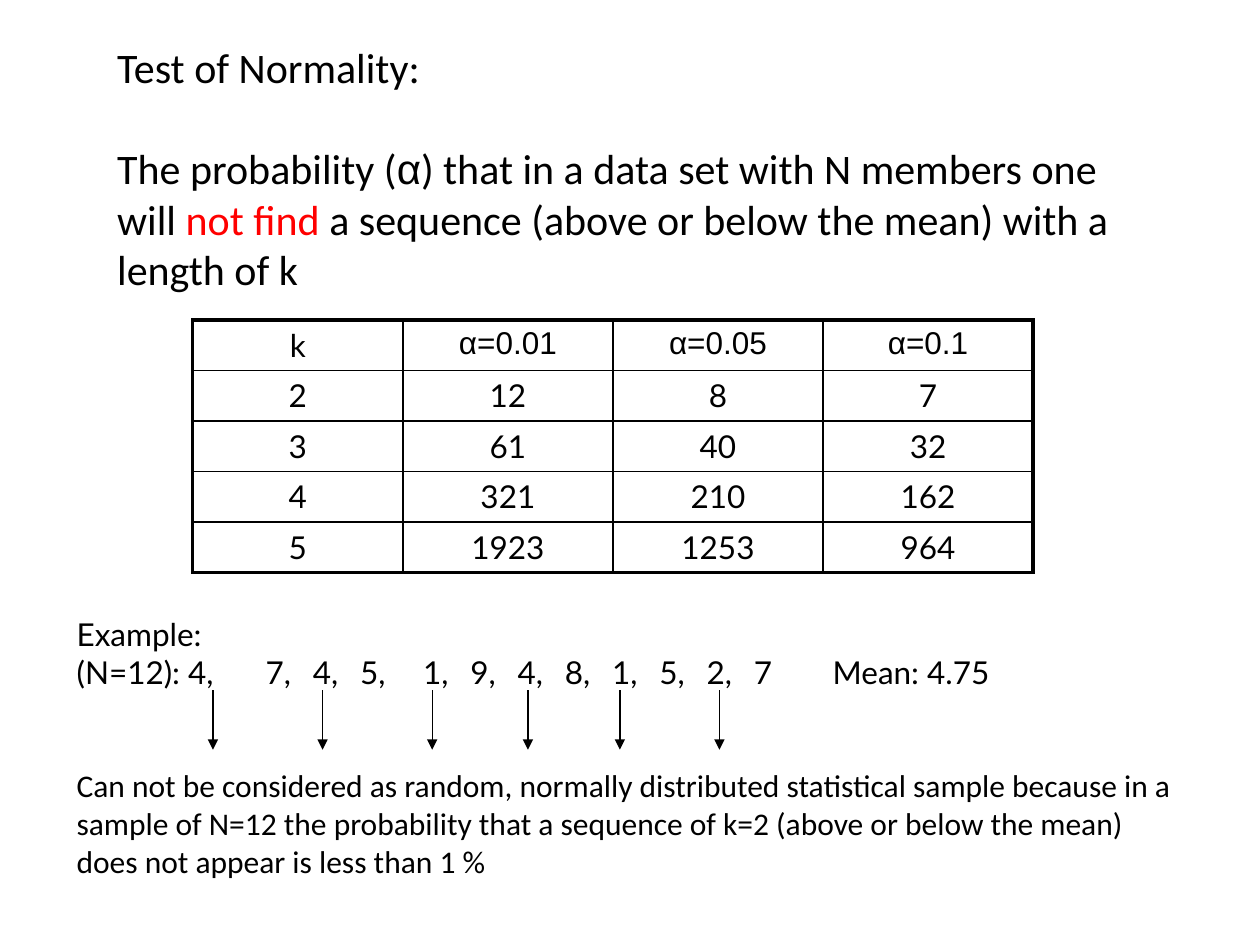
from lxml.etree import SubElement
from pptx import Presentation
from pptx.dml.color import RGBColor
from pptx.enum.shapes import MSO_CONNECTOR
from pptx.enum.text import MSO_ANCHOR, MSO_AUTO_SIZE, PP_ALIGN
from pptx.oxml.ns import qn
from pptx.util import Inches, Pt

COLORS = {"text": "000000", "accent": "FF0000", "line": "000000"}

FRAME_FORMAT = {
    "word_wrap": True,
    "auto_size": MSO_AUTO_SIZE.SHAPE_TO_FIT_TEXT,
    "vertical_anchor": MSO_ANCHOR.TOP,
    "margin_left": Inches(0.1),
    "margin_right": Inches(0.1),
    "margin_top": Inches(0.05),
    "margin_bottom": Inches(0.05),
}
PARAGRAPH_FORMAT = {
    "alignment": PP_ALIGN.LEFT,
    "line_spacing": 1.0,
    "space_before": Pt(0),
}

PROBABILITY_ROWS = [
    ["k", "α=0.01", "α=0.05", "α=0.1"],
    ["2", "12", "8", "7"],
    ["3", "61", "40", "32"],
    ["4", "321", "210", "162"],
    ["5", "1923", "1253", "964"],
]
SAMPLE = [4, 7, 4, 5, 1, 9, 4, 8, 1, 5, 2, 7]
TAB_STEP = 0.375
TAB_STOPS = (
    [1.5 + TAB_STEP * i for i in range(3)]
    + [2.75 + TAB_STEP * i for i in range(9)]
    + [6]
)
ARROW_OFFSETS = [0, 0.87, 1.74, 2.5, 3.23, 4.02]


def apply_format(target, values):
    for name, value in values.items():
        setattr(target, name, value)


def place(shape, box):
    names = ("left", "top", "width", "height")
    apply_format(shape, dict(zip(names, map(Inches, box))))


def add_run(paragraph, text, font_name, size=18, color="text"):
    run = paragraph.add_run()
    run.text = text
    apply_format(run.font, {"name": font_name, "size": Pt(size), "bold": False})
    run.font.color.rgb = RGBColor.from_string(COLORS[color])


def add_paragraph(frame, is_first=False, **changes):
    paragraph = frame.paragraphs[0] if is_first else frame.add_paragraph()
    apply_format(paragraph, PARAGRAPH_FORMAT | changes)
    return paragraph


def add_text_box(slide, box):
    shape = slide.shapes.add_textbox(*map(Inches, box))
    apply_format(shape.text_frame, FRAME_FORMAT)
    return shape.text_frame


def fill_title(slide, box):
    title = slide.shapes.title
    place(title, box)
    frame = title.text_frame
    apply_format(frame, FRAME_FORMAT)
    add_run(add_paragraph(frame, True), "Test of Normality:", "Calibri", 24)
    statement = add_paragraph(frame, space_before=Pt(29))
    for text, font_name, color in [
        ("The probability (", "Calibri", "text"),
        ("α", "Arial", "text"),
        (") that in a data set with N members one will ", "Calibri", "text"),
        ("not find ", "Calibri", "accent"),
        ("a sequence (above or below the mean) with a length of k", "Calibri", "text"),
    ]:
        add_run(statement, text, font_name, 24, color)


def add_border(cell, side, width):
    properties = cell._tc.get_or_add_tcPr()
    line = SubElement(properties, qn(f"a:ln{side}"), w=str(Pt(width)))
    fill = SubElement(line, qn("a:solidFill"))
    SubElement(fill, qn("a:srgbClr"), val=COLORS["line"])


def add_probability_table(slide, box):
    row_count, column_count = len(PROBABILITY_ROWS), len(PROBABILITY_ROWS[0])
    graphic_frame = slide.shapes.add_table(
        row_count, column_count, *map(Inches, box)
    )
    table = graphic_frame.table
    apply_format(table, {"first_row": False, "horz_banding": False})
    for r, values in enumerate(PROBABILITY_ROWS):
        for c, value in enumerate(values):
            cell = table.cell(r, c)
            outer_sides = {
                "L": c == 0,
                "R": c == column_count - 1,
                "T": r == 0,
                "B": r == row_count - 1,
            }
            for side, is_outer in outer_sides.items():
                add_border(cell, side, 2.25 if is_outer else 1)
            cell.fill.background()
            paragraph = add_paragraph(
                cell.text_frame, True,
                alignment=PP_ALIGN.CENTER, space_before=Pt(3.6),
            )
            add_run(paragraph, value, "Arial" if "α" in value else "Lato")


def set_tab_stops(paragraph, stops):
    tab_list = SubElement(paragraph._p.get_or_add_pPr(), qn("a:tabLst"))
    for stop in stops:
        SubElement(tab_list, qn("a:tab"), pos=str(Inches(stop)), algn="l")


def add_arrow(slide, x, top, length):
    arrow = slide.shapes.add_connector(
        MSO_CONNECTOR.STRAIGHT,
        Inches(x), Inches(top), Inches(x), Inches(top + length),
    )
    arrow.line.width = Pt(0.75)
    arrow.line.color.rgb = RGBColor.from_string(COLORS["line"])
    SubElement(arrow.line._get_or_add_ln(), qn("a:tailEnd"), type="triangle")
    SubElement(arrow._element.spPr, qn("a:effectLst"))


def add_example(slide, box):
    """Sample values on tab stops, with arrows pointing down from the row."""
    left, top, _, _ = box
    frame = add_text_box(slide, box)
    add_run(add_paragraph(frame, True), "Example:", "Lato")
    sample_line = add_paragraph(frame)
    set_tab_stops(sample_line, TAB_STOPS)
    values = ",\t".join(map(str, SAMPLE))
    add_run(sample_line, f"(N=12): {values}\t\tMean: 4.75", "Lato")
    for offset in ARROW_OFFSETS:
        add_arrow(slide, left + 1.18 + offset, top + 0.65, 0.47)


def add_conclusion(slide, box):
    frame = add_text_box(slide, box)
    add_run(
        add_paragraph(frame, True),
        "Can not be considered as random, normally distributed statistical "
        "sample because in a sample of N=12 the probability that a sequence "
        "of k=2 (above or below the mean) does not appear is less than 1 %",
        "Calibri",
    )


def main():
    presentation = Presentation()
    presentation.slide_width = Inches(10)
    presentation.slide_height = Inches(7.5)
    slide = presentation.slides.add_slide(presentation.slide_layouts[5])
    fill_title(slide, (0.83, 0.28, 8.45, 2.12))
    add_probability_table(slide, (1.53, 2.54, 6.67, 2))
    add_example(slide, (0.51, 4.83, 8.58, 1))
    add_conclusion(slide, (0.51, 6.03, 8.96, 1))
    presentation.save("out.pptx")


if __name__ == "__main__":
    main()
